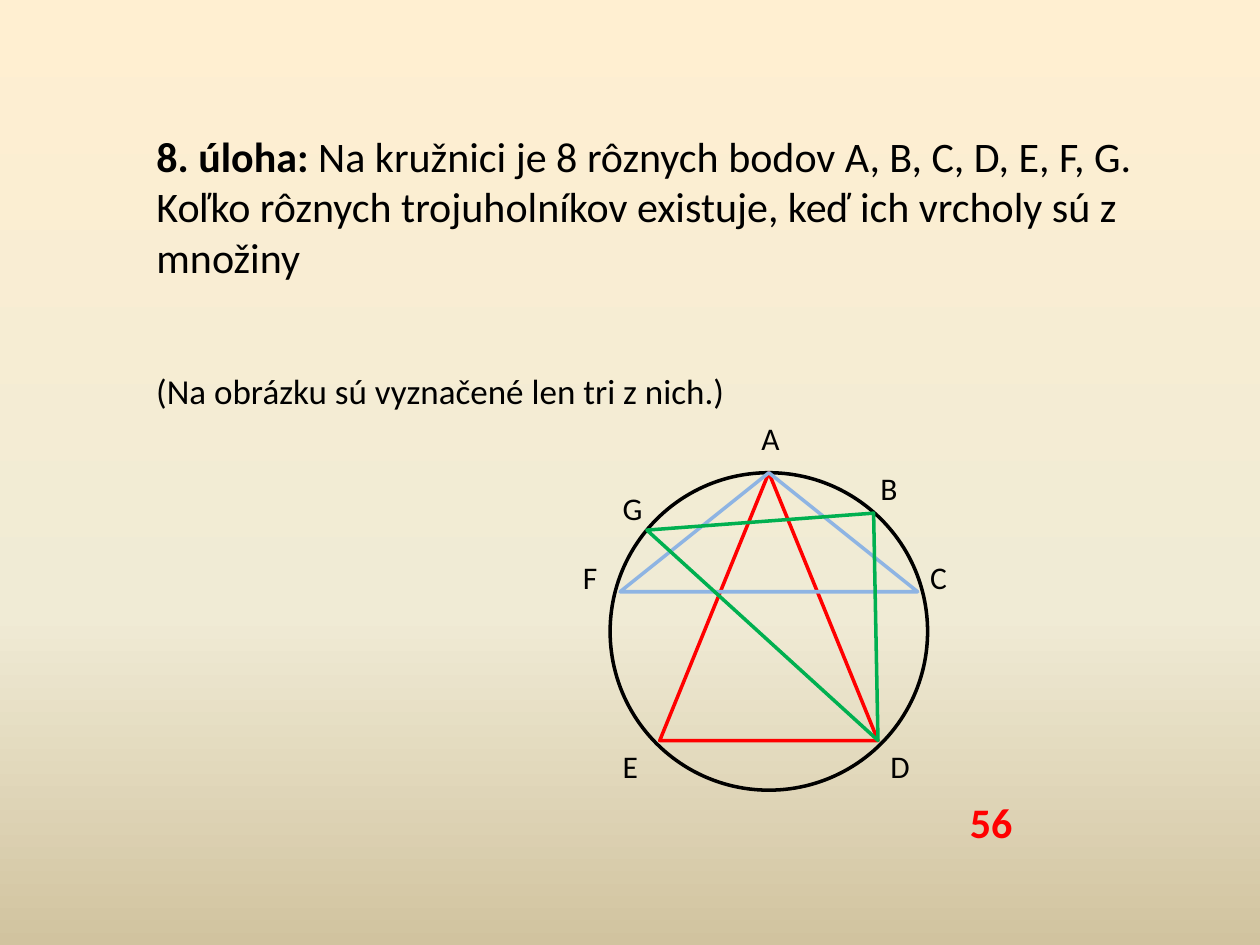
import copy
import pptx
import pptx.dml.color
import pptx.enum.shapes
import pptx.enum.text
import pptx.oxml.ns
import pptx.util

Cm, Pt = pptx.util.Cm, pptx.util.Pt
KIND = pptx.enum.shapes.MSO_SHAPE
TEXT = pptx.enum.text

COLORS = {"black": "000000", "red": "FF0000", "blue": "8EB4E3", "green": "00B050",
          "cream": "FFEFD1", "sand": "F0EBD5", "tan": "D1C39F"}
FONT = "Calibri"

# Content: boxes are left, top, width, height in cm
STOPS = [(0, "cream"), (0.65, "sand"), (1, "tan")]
TASK = [("8. úloha: ", True),
        ("Na kružnici je 8 rôznych bodov A, B, C, D, E, F, G. Koľko rôznych "
         "trojuholníkov existuje, keď ich vrcholy sú z množiny", False)]
TASK_BOX = (2.9, 2.5, 21, 3.33)
CIRCLE = (12.3, 9.53, 6.4, 6.4)
TRIANGLES = [("red", (13.3, 9.53, 4.4, 5.4), 0),
             ("blue", (12.5, 9.53, 6, 2.4), 0),
             ("green", (13.34, 9.91, 6.3, 3.33), 42.3)]
POINTS = {"A": (15.1, 8.33), "B": (17.5, 9.33), "C": (18.5, 11.13), "D": (17.7, 14.93),
          "E": (12.3, 14.93), "F": (11.5, 11.13), "G": (12.3, 9.73)}
POINT_SIZE = (1, 1.02)
NOTES = [("56", (19.3, 15.93, 1.6, 1.28), 24, "red", True),
         ("(Na obrázku sú vyznačené len tri z nich.)", (2.9, 7.32, 12.2, 1.11), 20, "black", False)]


def rgb(name):
    return pptx.dml.color.RGBColor.from_string(COLORS[name])


def style(font, size, color, bold=None):
    font.name, font.size, font.bold = FONT, Pt(size), bold
    font.color.rgb = rgb(color)


def label(slide, text, box, size, color="black", bold=False):
    frame = slide.shapes.add_textbox(*map(Cm, box)).text_frame
    frame.word_wrap = True
    frame.text = text
    style(frame.paragraphs[0].font, size, color, bold)


def outline(slide, kind, box, color, turn=0):
    shape = slide.shapes.add_shape(kind, *map(Cm, box))
    shape.shadow.inherit = False
    shape.fill.background()
    shape.line.color.rgb = rgb(color)
    shape.line.width = Pt(2)
    shape.rotation = turn


def paint(slide):
    fill = slide.background.fill
    fill.gradient()
    fill.gradient_angle = 270
    stops = slide.element.find(".//" + pptx.oxml.ns.qn("a:gsLst"))
    stops.append(copy.deepcopy(stops[-1]))
    for stop, (place, color) in zip(fill.gradient_stops, STOPS):
        stop.position = place
        stop.color.rgb = rgb(color)


def main():
    deck = pptx.Presentation()
    deck.slide_width, deck.slide_height = Cm(25.4), Cm(19.05)
    slide = deck.slides.add_slide(deck.slide_layouts[5])
    paint(slide)

    # Task
    title = slide.shapes.title
    title.left, title.top, title.width, title.height = map(Cm, TASK_BOX)
    frame = title.text_frame
    frame.word_wrap = True
    frame.auto_size = TEXT.MSO_AUTO_SIZE.NONE
    frame.vertical_anchor = TEXT.MSO_ANCHOR.TOP
    para = frame.paragraphs[0]
    para.alignment = TEXT.PP_ALIGN.LEFT
    style(para.font, 24, "black")
    for text, bold in TASK:
        run = para.add_run()
        run.text, run.font.bold = text, bold

    # Circle with its triangles and points
    outline(slide, KIND.OVAL, CIRCLE, "black")
    for color, box, turn in TRIANGLES:
        outline(slide, KIND.ISOSCELES_TRIANGLE, box, color, turn)
    for name, place in POINTS.items():
        label(slide, name, place + POINT_SIZE, 18)

    # Answer and remark
    for note in NOTES:
        label(slide, *note)

    deck.save("out.pptx")


if __name__ == "__main__":
    main()
